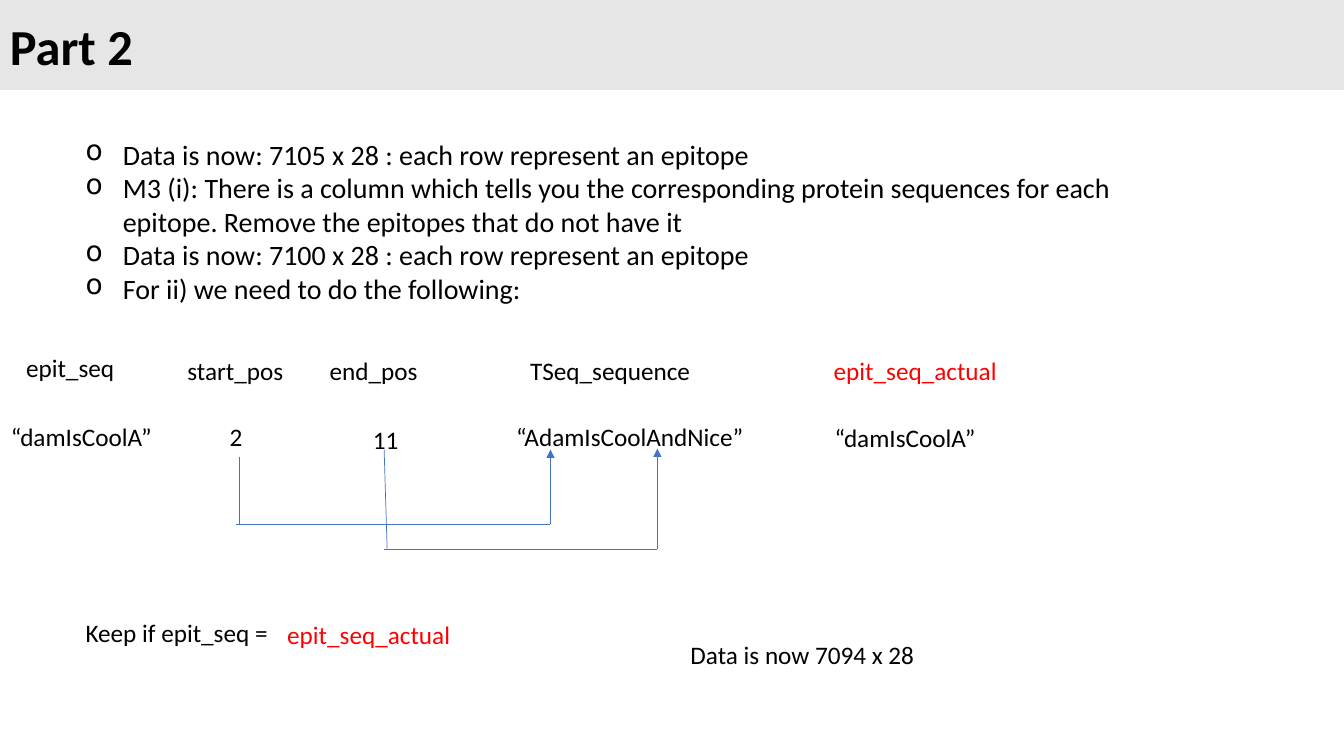
"""Build the Part 2 slide on matching epitope sequences to their positions."""
from lxml import etree
from pptx import Presentation
from pptx.dml.color import RGBColor
from pptx.enum import shapes, text
from pptx.oxml import ns
from pptx.util import Inches, Pt

BLACK = RGBColor(0, 0, 0)
RED = RGBColor(0xFF, 0, 0)
GREY = RGBColor(0xE7, 0xE6, 0xE6)
BLUE = RGBColor(0x44, 0x72, 0xC4)

TITLE = "Part 2"
STEPS = [
    "Data is now: 7105 x 28 : each row represent an epitope ",
    "M3 (i): There is a column which tells you the corresponding protein sequences "
    "for each epitope. Remove the epitopes that do not have it",
    "Data is now: 7100 x 28 : each row represent an epitope",
    "For ii) we need to do the following: ",
]
LABELS = [
    ("TSeq_sequence", 5.16, 3.48, 2.45, BLACK),
    ("start_pos", 1.76, 3.48, 1.42, BLACK),
    ("end_pos", 3.17, 3.48, 1.99, BLACK),
    ("2", 2.18, 4.13, 1.13, BLACK),
    ("11", 3.6, 4.16, 1.13, BLACK),
    ("“AdamIsCoolAndNice”", 5.02, 4.13, 2.73, BLACK),
    ("“damIsCoolA”", 8.18, 4.14, 2.73, BLACK),
    ("epit_seq", 0.16, 3.45, 1.42, BLACK),
    ("“damIsCoolA”", 0.01, 4.13, 1.87, BLACK),
    ("epit_seq_actual", 8.17, 3.48, 2.45, RED),
    ("Keep if epit_seq =", 0.75, 6.08, 2.28, BLACK),
    ("epit_seq_actual", 2.75, 6.09, 2.45, RED),
    ("Data is now 7094 x 28", 6.75, 6.29, 6.78, BLACK),
]
POSITION_LINKS = [
    [((2.37, 4.53), (2.37, 5.21)), ((2.34, 5.2), (5.46, 5.2)), ((5.46, 5.2), (5.46, 4.46))],
    [((3.81, 4.46), (3.84, 5.45)), ((3.81, 5.45), (6.52, 5.45)), ((6.52, 5.45), (6.52, 4.45))],
]


def write(tf, lines, size, color, bold=False):
    tf.word_wrap = True
    for i, line in enumerate(lines):
        p = tf.add_paragraph() if i else tf.paragraphs[0]
        p.text = line
        p.alignment = text.PP_ALIGN.LEFT
        font = p.runs[0].font
        font.name, font.size, font.bold = "Calibri", Pt(size), bold
        font.color.rgb = color


def add_text(s, lines, left, top, width, height, size, color):
    tf = s.shapes.add_textbox(*map(Inches, (left, top, width, height))).text_frame
    write(tf, lines, size, color)
    tf.auto_size = text.MSO_AUTO_SIZE.SHAPE_TO_FIT_TEXT
    return tf


def add_line(s, start, end, arrow):
    line = s.shapes.add_connector(
        shapes.MSO_CONNECTOR.STRAIGHT, *map(Inches, start + end))
    line.line.color.rgb = BLUE
    line.line.width = Pt(0.5)
    if arrow:
        etree.SubElement(line.line._get_or_add_ln(), ns.qn("a:tailEnd"), type="triangle")
    etree.SubElement(line._element.spPr, ns.qn("a:effectLst"))


prs = Presentation()
prs.slide_width, prs.slide_height = Inches(13.33), Inches(7.5)
s = prs.slides.add_slide(prs.slide_layouts[6])

banner = s.shapes.add_shape(
    shapes.MSO_SHAPE.RECTANGLE, 0, 0, prs.slide_width, Inches(0.89))
banner.shadow.inherit = False
banner.fill.solid()
banner.fill.fore_color.rgb = GREY
banner.line.color.rgb = GREY
banner.line.width = Pt(1)
banner.text_frame.vertical_anchor = text.MSO_ANCHOR.MIDDLE
write(banner.text_frame, [TITLE], 36, BLACK, bold=True)

steps = add_text(s, STEPS, 0.75, 1.31, 10.94, 1.78, 20, BLACK)
for p in steps.paragraphs:
    pPr = p._p.get_or_add_pPr()
    pPr.set("marL", str(Inches(0.37)))
    pPr.set("indent", str(-Inches(0.37)))
    etree.SubElement(pPr, ns.qn("a:buChar"), char="o")

for label, left, top, width, color in LABELS:
    add_text(s, [label], left, top, width, 0.4, 18, color)

for link in POSITION_LINKS:
    for start, end in link:
        add_line(s, start, end, arrow=(start, end) == link[-1])

prs.save("out.pptx")
